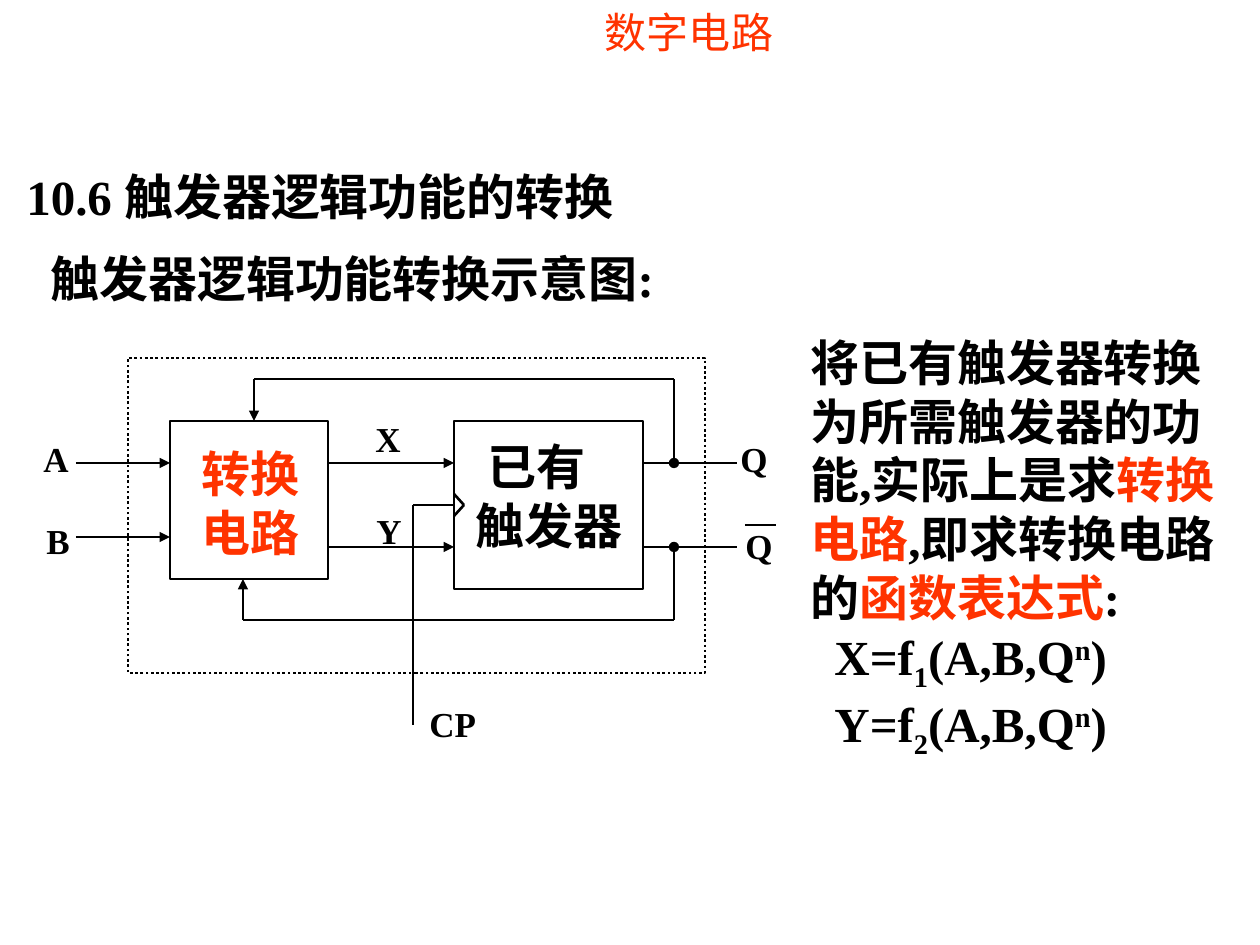
"""Builds a slide on converting the logic function of flip-flops."""
from dataclasses import dataclass
from typing import Optional

import lxml.etree
import pptx
import pptx.dml.color
import pptx.enum.dml
import pptx.enum.shapes
import pptx.enum.text
import pptx.oxml.ns
import pptx.util

EMU_PER_PX = 914400 / 126
COLORS = {"ink": "000000", "accent": "FF3300"}
SERIF, HAN = "Times New Roman", "Noto Sans CJK SC"
LEFT, CENTER = pptx.enum.text.PP_ALIGN.LEFT, pptx.enum.text.PP_ALIGN.CENTER


@dataclass
class Span:
    text: str
    color: str = "ink"
    baseline: int = 0


@dataclass
class Line:
    spans: list[Span]
    indent: int = 0


@dataclass
class Label:
    left: int
    top: int
    width: int
    height: int
    lines: list[Line]
    size: int = 28
    bold: bool = True
    font: str = SERIF
    align: pptx.enum.text.PP_ALIGN = LEFT


@dataclass
class Block:
    left: int
    top: int
    width: int
    height: int
    dash: Optional[pptx.enum.dml.MSO_LINE] = None


@dataclass
class Wire:
    x1: int
    y1: int
    x2: int
    y2: int
    head: str = ""
    tail: str = ""


def px(value: int) -> pptx.util.Emu:
    return pptx.util.Emu(round(value * EMU_PER_PX))


def rgb(name: str) -> pptx.dml.color.RGBColor:
    return pptx.dml.color.RGBColor.from_string(COLORS[name])


def plain(text: str, color: str = "ink", indent: int = 0) -> Line:
    return Line([Span(text, color)], indent)


def function_line(name: str, index: str) -> Line:
    return Line([Span(f"{name}=f"), Span(index, baseline=-25000), Span("(A,B,Q"),
                 Span("n", baseline=30000), Span(")")], indent=24)


def pin(left: int, top: int, text: str, width: int = 51) -> Label:
    return Label(left, top, width, 55, [plain(text)], size=20)


def draw_label(slide, label: Label) -> None:
    frame = slide.shapes.add_textbox(
        px(label.left), px(label.top), px(label.width), px(label.height)).text_frame
    frame.word_wrap = False
    frame.auto_size = pptx.enum.text.MSO_AUTO_SIZE.NONE
    for number, line in enumerate(label.lines):
        paragraph = frame.add_paragraph() if number else frame.paragraphs[0]
        paragraph.alignment = label.align
        if line.indent:
            paragraph._p.get_or_add_pPr().set("marL", str(px(line.indent)))
        paragraph.font.name = label.font
        paragraph.font.size = pptx.util.Pt(label.size)
        paragraph.font.bold = label.bold
        uniform = len({span.color for span in line.spans}) == 1
        if uniform:
            paragraph.font.color.rgb = rgb(line.spans[0].color)
        for span in line.spans:
            run = paragraph.add_run()
            run.text = span.text
            if not uniform:
                run.font.color.rgb = rgb(span.color)
            if span.baseline:
                run._r.get_or_add_rPr().set("baseline", str(span.baseline))


def draw_block(slide, block: Block):
    shape = slide.shapes.add_shape(
        pptx.enum.shapes.MSO_SHAPE.RECTANGLE,
        px(block.left), px(block.top), px(block.width), px(block.height))
    shape.shadow.inherit = False
    shape.fill.background()
    shape.line.color.rgb = rgb("ink")
    shape.line.width = pptx.util.Pt(1.5)
    if block.dash is not None:
        shape.line.dash_style = block.dash
    return shape


def draw_wire(slide, wire: Wire):
    connector = slide.shapes.add_connector(
        pptx.enum.shapes.MSO_CONNECTOR.STRAIGHT,
        px(wire.x1), px(wire.y1), px(wire.x2), px(wire.y2))
    connector.line.color.rgb = rgb("ink")
    connector.line.width = pptx.util.Pt(1.5)
    outline = connector.line._get_or_add_ln()
    for tag, kind in (("a:headEnd", wire.head), ("a:tailEnd", wire.tail)):
        if kind:
            lxml.etree.SubElement(outline, pptx.oxml.ns.qn(tag), type=kind)
    lxml.etree.SubElement(connector._element.spPr, pptx.oxml.ns.qn("a:effectLst"))
    return connector


CONVERTER = Block(170, 421, 158, 158)
FLIP_FLOP = Block(454, 421, 189, 168)
BOUNDARY = Block(128, 358, 577, 315, pptx.enum.dml.MSO_LINE.ROUND_DOT)
CONVERTER_RIGHT = CONVERTER.left + CONVERTER.width
CONVERTER_BOTTOM = CONVERTER.top + CONVERTER.height
FLIP_FLOP_RIGHT = FLIP_FLOP.left + FLIP_FLOP.width
X_ROW, Y_ROW, B_ROW, CLOCK_ROW = 463, 547, 537, 505
FEEDBACK_X, CLOCK_X = 674, 413

WIRES = [
    *(Wire(CONVERTER_RIGHT, row, FLIP_FLOP.left, row, tail="triangle") for row in (X_ROW, Y_ROW)),
    *(Wire(FLIP_FLOP_RIGHT, row, 737, row) for row in (X_ROW, Y_ROW)),
    *(Wire(76, row, CONVERTER.left, row, tail="triangle") for row in (X_ROW, B_ROW)),
    Wire(FEEDBACK_X, X_ROW, FEEDBACK_X, 379, head="oval"),
    Wire(FEEDBACK_X, 379, 254, 379),
    Wire(254, 379, 254, CONVERTER.top, tail="triangle"),
    Wire(FEEDBACK_X, Y_ROW, FEEDBACK_X, 620, head="oval"),
    Wire(FEEDBACK_X, 620, 243, 620),
    Wire(243, 620, 243, CONVERTER_BOTTOM, tail="triangle"),
    Wire(745, 525, 776, 525),
    Wire(FLIP_FLOP.left, CLOCK_ROW - 11, 464, CLOCK_ROW),
    Wire(464, CLOCK_ROW, FLIP_FLOP.left, CLOCK_ROW + 11),
    Wire(CLOCK_X, CLOCK_ROW, CLOCK_X, 725),
]
CLOCK_INPUT = Wire(FLIP_FLOP.left, CLOCK_ROW, CLOCK_X, CLOCK_ROW)

LABELS = [
    Label(510, 0, 358, 76, [plain("数字电路", "accent")], 24, False, HAN, CENTER),
    Label(14, 160, 630, 72, [plain("10.6 触发器逻辑功能的转换")]),
    Label(38, 242, 646, 72, [plain("触发器逻辑功能转换示意图:")]),
    Label(189, 437, 132, 131, [plain("转换", "accent"), plain("电路", "accent")]),
    Label(463, 430, 180, 131, [plain("已有", indent=12), plain("触发器")]),
    pin(31, 431, "A"),
    pin(34, 513, "B"),
    pin(363, 411, "X"),
    pin(364, 503, "Y"),
    pin(728, 431, "Q", 54),
    pin(733, 518, "Q", 54),
    pin(417, 696, "CP", 76),
    Label(798, 326, 458, 441, [
        plain("将已有触发器转换"),
        plain("为所需触发器的功"),
        Line([Span("能,实际上是求"), Span("转换", "accent")]),
        Line([Span("电路", "accent"), Span(",即求转换电路")]),
        Line([Span("的"), Span("函数表达式", "accent"), Span(":")]),
        function_line("X", "1"),
        function_line("Y", "2"),
    ]),
]


def main() -> None:
    deck = pptx.Presentation()
    deck.slide_width, deck.slide_height = px(1260), px(945)
    slide = deck.slides.add_slide(deck.slide_layouts[6])
    draw_block(slide, BOUNDARY)
    draw_block(slide, CONVERTER)
    flip_flop = draw_block(slide, FLIP_FLOP)
    for wire in WIRES:
        draw_wire(slide, wire)
    draw_wire(slide, CLOCK_INPUT).begin_connect(flip_flop, 1)
    for label in LABELS:
        draw_label(slide, label)
    deck.save("out.pptx")


if __name__ == "__main__":
    main()
